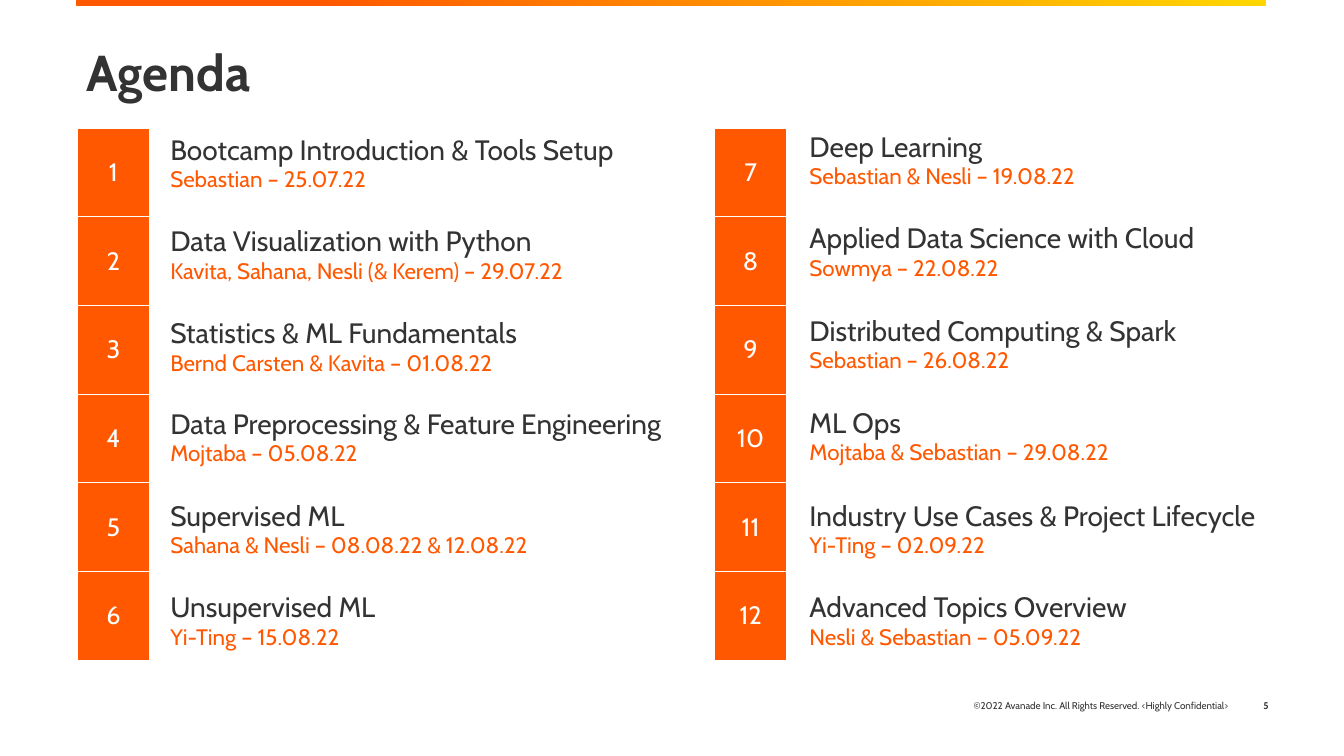
from lxml import etree
from pptx import Presentation
from pptx import util as u
from pptx.dml.color import RGBColor
from pptx.enum import shapes, text
from pptx.oxml import ns

PX = 9144
COLORS = {"orange": "FF5800", "yellow": "FFD700", "ink": "333333", "white": "FFFFFF"}

COLUMNS = [
    (77, 159, 130, [
        ("Bootcamp Introduction & Tools Setup", "Sebastian – 25.07.22"),
        ("Data Visualization with Python", "Kavita, Sahana, Nesli (& Kerem) – 29.07.22"),
        ("Statistics & ML Fundamentals", "Bernd Carsten & Kavita – 01.08.22"),
        ("Data Preprocessing & Feature Engineering", "Mojtaba – 05.08.22"),
        ("Supervised ML", "Sahana & Nesli – 08.08.22 & 12.08.22"),
        ("Unsupervised ML", "Yi-Ting – 15.08.22"),
    ]),
    (709, 793, 127, [
        ("Deep Learning", "Sebastian & Nesli – 19.08.22"),
        ("Applied Data Science with Cloud", "Sowmya – 22.08.22"),
        ("Distributed Computing & Spark", "Sebastian – 26.08.22"),
        ("ML Ops", "Mojtaba & Sebastian – 29.08.22"),
        ("Industry Use Cases & Project Lifecycle", "Yi-Ting – 02.09.22"),
        ("Advanced Topics Overview", "Nesli & Sebastian – 05.09.22"),
    ]),
]
LAST_TOPIC_TOP = 584


class AgendaSlide:
    font = "Cabin"

    def __init__(self, presentation):
        self.slide = presentation.slides.add_slide(presentation.slide_layouts[6])

    def color(self, name):
        return RGBColor.from_string(COLORS[name])

    def box(self, *lengths):
        return [u.Emu(length * PX) for length in lengths]

    def style(self, paragraph, size, color, bold=False):
        font = paragraph.font
        font.name, font.size, font.bold = self.font, u.Pt(size), bold
        font.color.rgb = self.color(color)

    def gradient_bar(self, left, top, width, height):
        shape = self.slide.shapes.add_shape(
            shapes.MSO_SHAPE.RECTANGLE, *self.box(left, top, width, height))
        shape.shadow.inherit = False
        shape.line.fill.background()
        shape.fill.gradient()
        shape.fill.gradient_angle = 250
        stops = [("yellow", 0), ("orange", 0.8)]
        for stop, (name, position) in zip(shape.fill.gradient_stops, stops):
            stop.color.rgb = self.color(name)
            stop.position = position

    def label(self, words, place, size, color="ink", bold=False, spacing=0.9,
              align=text.PP_ALIGN.LEFT, anchor=text.MSO_ANCHOR.TOP, parent=None):
        shape = (parent or self.slide).shapes.add_textbox(*self.box(*place))
        frame = shape.text_frame
        frame.word_wrap = True
        frame.vertical_anchor = anchor
        paragraph = frame.paragraphs[0]
        paragraph.text = words
        paragraph.alignment = align
        paragraph.line_spacing = spacing
        self.style(paragraph, size, color, bold)

    def footer(self, words, left, width, bold=False):
        self.label(words, (left, 680, width, 40), 7, bold=bold, spacing=1.0,
                   align=text.PP_ALIGN.RIGHT, anchor=text.MSO_ANCHOR.MIDDLE)

    def topic(self, title, details, left, top):
        group = self.slide.shapes.add_group_shape()
        self.label(title, (left, top, 531, 37), 20, parent=group)
        self.label(details, (left, top + 32, 531, 37), 16, "orange", parent=group)

    def borders(self, cell):
        properties = cell._tc.get_or_add_tcPr()
        for index, side in enumerate(("lnL", "lnR", "lnT", "lnB")):
            line = etree.Element(ns.qn(f"a:{side}"), w=str(u.Pt(1)))
            fill = etree.SubElement(line, ns.qn("a:solidFill"))
            etree.SubElement(fill, ns.qn("a:srgbClr"), val=COLORS["white"])
            properties.insert(index, line)

    def number_table(self, numbers, left):
        count = len(numbers)
        table = self.slide.shapes.add_table(
            count, 1, *self.box(left, 127, 71, 88 * count)).table
        table.first_row = table.horz_banding = False
        for row, number in enumerate(numbers):
            cell = table.cell(row, 0)
            cell.text = str(number)
            cell.vertical_anchor = text.MSO_ANCHOR.MIDDLE
            cell.fill.solid()
            cell.fill.fore_color.rgb = self.color("orange")
            paragraph = cell.text_frame.paragraphs[0]
            paragraph.alignment = text.PP_ALIGN.CENTER
            self.style(paragraph, 18, "white")
            self.borders(cell)


def main():
    presentation = Presentation()
    presentation.slide_width = u.Emu(1333 * PX)
    presentation.slide_height = u.Emu(750 * PX)
    agenda = AgendaSlide(presentation)

    agenda.gradient_bar(76, 0, 1180, 5)
    agenda.footer("©2022 Avanade Inc. All Rights Reserved. <Highly Confidential>", 778, 450)
    agenda.footer("5", 1220, 48, bold=True)
    agenda.label("Agenda", (76, 43, 1179, 109), 36, bold=True)

    first_number = 1
    for table_left, topic_left, first_top, topics in COLUMNS:
        count = len(topics)
        agenda.number_table(range(first_number, first_number + count), table_left)
        pitch = (LAST_TOPIC_TOP - first_top) / (count - 1)
        for row, (title, details) in enumerate(topics):
            agenda.topic(title, details, topic_left, round(first_top + row * pitch))
        first_number += count

    presentation.save("out.pptx")


if __name__ == "__main__":
    main()
